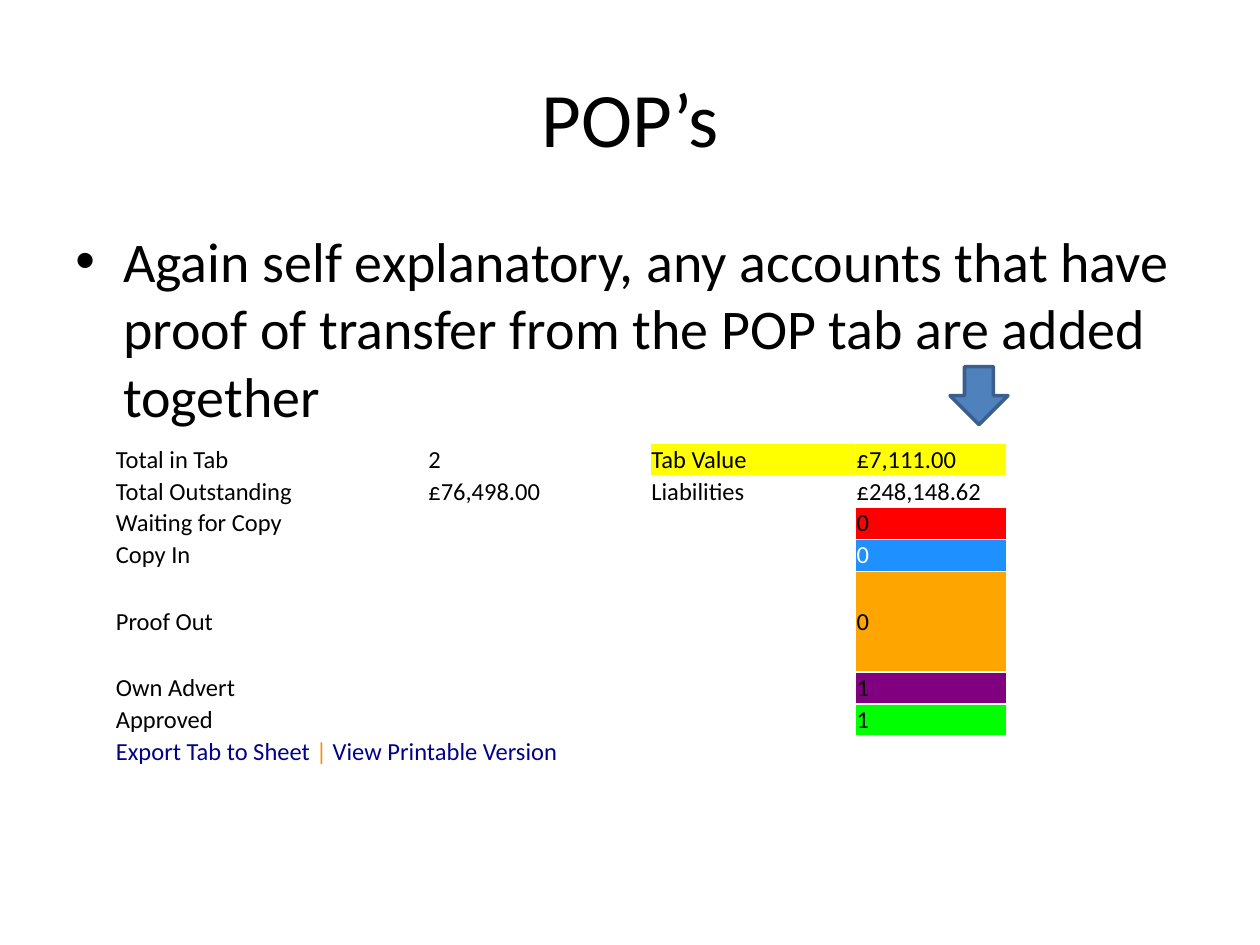
from lxml.etree import SubElement
from pptx import Presentation
from pptx.dml.color import RGBColor
from pptx.enum.shapes import MSO_SHAPE as SHAPE
from pptx.enum.text import MSO_ANCHOR as ANCHOR, PP_ALIGN as ALIGN
from pptx.oxml.ns import qn
from pptx.util import Inches, Pt

COLORS = {
    "black": "000000", "white": "FFFFFF", "yellow": "FFFF00", "red": "FF0000",
    "blue": "1E90FF", "orange": "FFA500", "purple": "800080", "green": "00FF00",
    "link": "00008B", "divider": "FF8C00", "arrow": "4F81BD", "arrow_line": "3A5F8C",
}
FONT = "Calibri"
COL_WIDTHS = [2.48, 1.77, 1.63, 1.2]
ROW_HEIGHT, TALL_ROW_HEIGHT = 0.25, 0.8
TOTALS = [
    (["Total in Tab", "2", "Tab Value", "£7,111.00"], ["white", "white", "yellow", "yellow"]),
    (["Total Outstanding", "£76,498.00", "Liabilities", "£248,148.62"], ["white"] * 4),
]
STATUSES = [
    ("Waiting for Copy", "0", "red", "black"),
    ("Copy In", "0", "blue", "white"),
    ("Proof Out", "0", "orange", "black"),
    ("Own Advert", "1", "purple", "black"),
    ("Approved", "1", "green", "black"),
]
FOOTER = [("Export Tab to Sheet ", "link"), ("| ", "divider"), ("View Printable Version", "link")]


def rgb(name):
    return RGBColor.from_string(COLORS[name])


def set_attrs(obj, values):
    for name, value in values.items():
        setattr(obj, name, value)


def add_run(p, text, size, color="black"):
    r = p.add_run()
    r.text = text
    set_attrs(r.font, {"name": FONT, "size": Pt(size)})
    r.font.color.rgb = rgb(color)


def add_text(slide, box, text, size, anchor, align):
    tf = slide.shapes.add_textbox(*map(Inches, box)).text_frame
    set_attrs(tf, {"word_wrap": True, "vertical_anchor": anchor})
    p = tf.paragraphs[0]
    p.alignment = align
    add_run(p, text, size)
    return p


def add_bullet(p, indent):
    pPr = p._p.get_or_add_pPr()
    pPr.set("marL", str(Inches(indent)))
    pPr.set("indent", str(-Inches(indent)))
    SubElement(pPr, qn("a:buFont"), typeface="Arial")
    SubElement(pPr, qn("a:buChar"), char="•")


def fill_cell(cell, runs, fill="white"):
    sides = ("margin_left", "margin_top", "margin_right", "margin_bottom")
    set_attrs(cell, dict.fromkeys(sides, Inches(0.01)))
    cell.vertical_anchor = ANCHOR.MIDDLE
    cell.fill.solid()
    cell.fill.fore_color.rgb = rgb(fill)
    for text, color in runs:
        add_run(cell.text_frame.paragraphs[0], text, 14, color)


def add_totals_table(slide, left, top):
    heights = [TALL_ROW_HEIGHT if label == "Proof Out" else ROW_HEIGHT
               for label in ["", "", *(s[0] for s in STATUSES), ""]]
    table = slide.shapes.add_table(
        len(heights), len(COL_WIDTHS), Inches(left), Inches(top),
        Inches(sum(COL_WIDTHS)), Inches(sum(heights))).table
    set_attrs(table, {"first_row": False, "horz_banding": False})
    for col, width in zip(table.columns, COL_WIDTHS):
        col.width = Inches(width)
    for row, height in zip(table.rows, heights):
        row.height = Inches(height)
    for i, (texts, fills) in enumerate(TOTALS):
        for j, (text, fill) in enumerate(zip(texts, fills)):
            fill_cell(table.cell(i, j), [(text, "black")], fill)
    for i, (label, count, fill, color) in enumerate(STATUSES, len(TOTALS)):
        table.cell(i, 0).merge(table.cell(i, 2))
        fill_cell(table.cell(i, 0), [(label, "black")])
        fill_cell(table.cell(i, 3), [(count, color)], fill)
    last = len(heights) - 1
    table.cell(last, 0).merge(table.cell(last, 3))
    fill_cell(table.cell(last, 0), FOOTER)


def add_down_arrow(slide, box):
    sp = slide.shapes.add_shape(SHAPE.DOWN_ARROW, *map(Inches, box))
    sp.shadow.inherit = False
    sp.fill.solid()
    sp.fill.fore_color.rgb = rgb("arrow")
    sp.line.color.rgb = rgb("arrow_line")
    sp.line.width = Pt(2)


def main():
    prs = Presentation()
    set_attrs(prs, {"slide_width": Inches(10), "slide_height": Inches(7.5)})
    slide = prs.slides.add_slide(prs.slide_layouts[6])
    add_text(slide, (0.5, 0.3, 9, 1.25), "POP’s", 44, ANCHOR.MIDDLE, ALIGN.CENTER)
    p = add_text(slide, (0.5, 1.75, 9, 4.95),
                 "Again self explanatory, any accounts that have proof of transfer "
                 "from the POP tab are added together", 32, ANCHOR.TOP, ALIGN.LEFT)
    add_bullet(p, 0.38)
    add_totals_table(slide, 0.91, 3.52)
    add_down_arrow(slide, (7.54, 2.91, 0.46, 0.46))
    prs.save("out.pptx")


if __name__ == "__main__":
    main()
